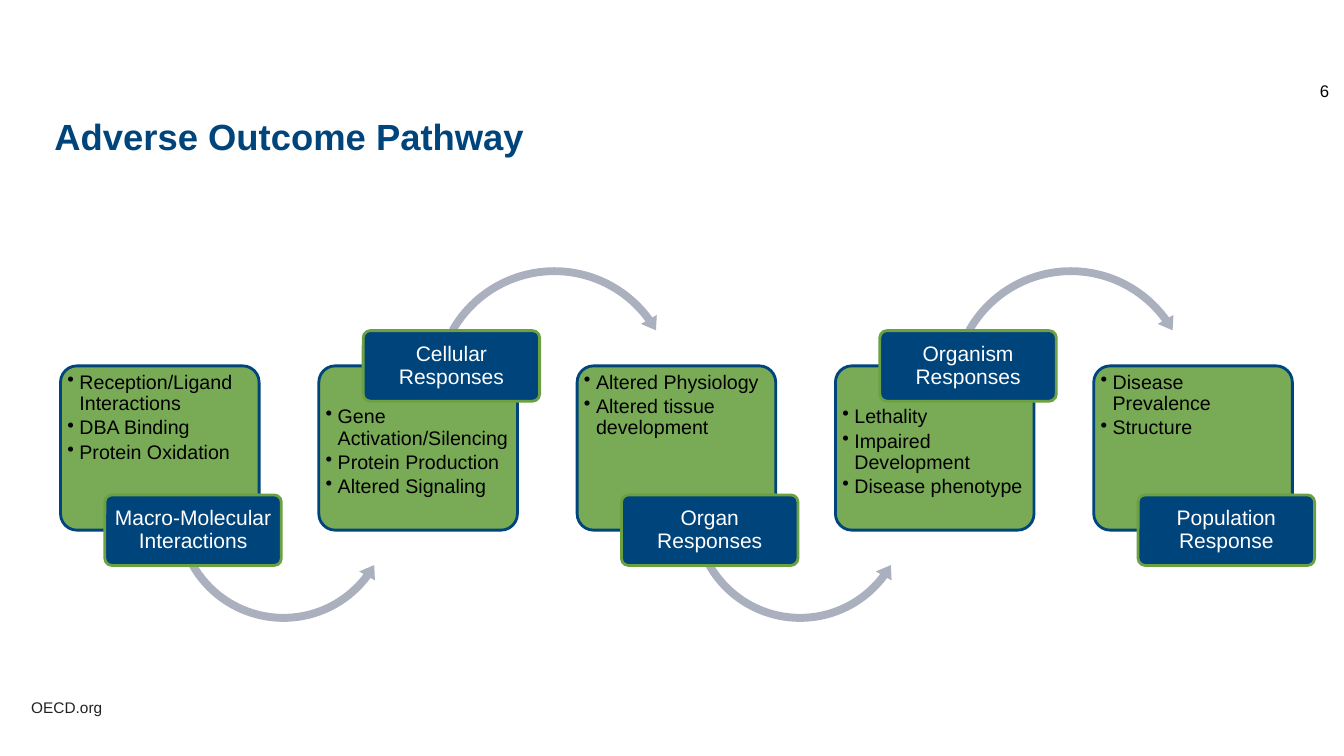
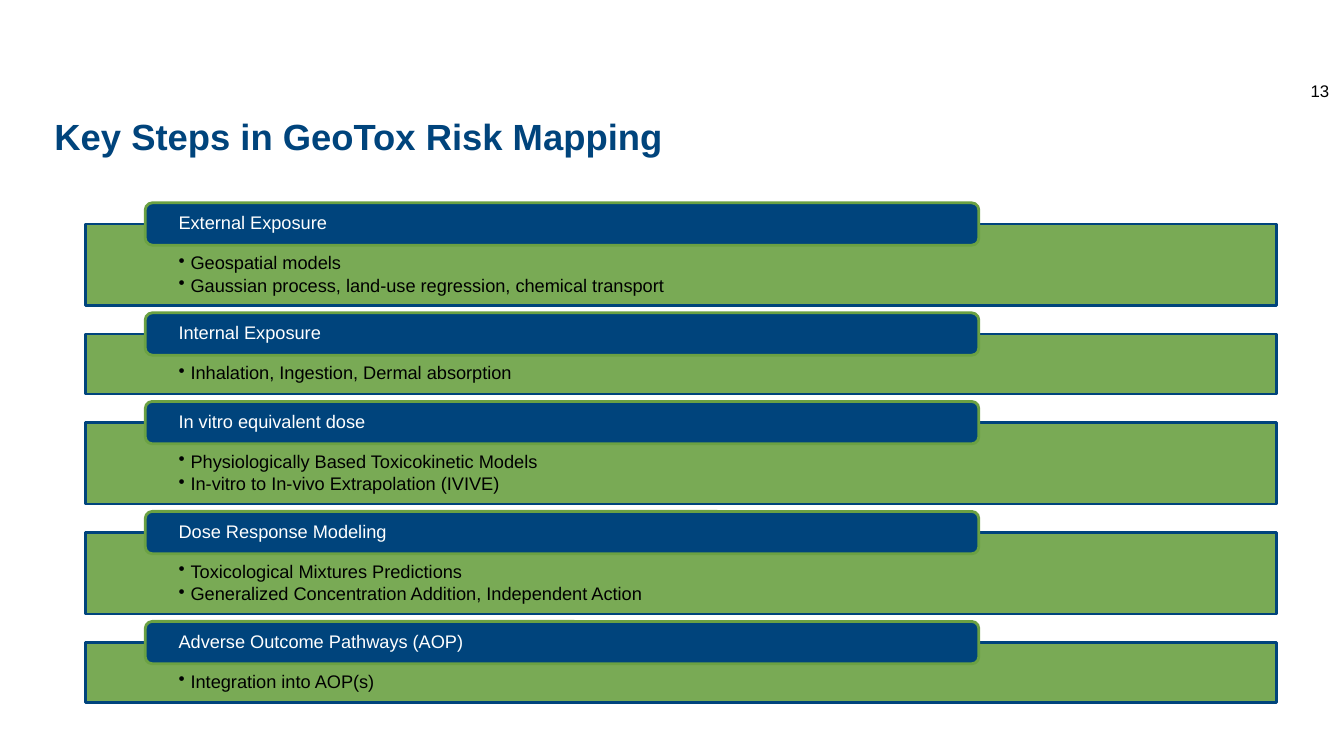
from dataclasses import dataclass

from lxml.etree import SubElement
from pptx import Presentation
from pptx.dml.color import RGBColor
from pptx.enum.shapes import MSO_SHAPE as Preset
from pptx.enum.text import MSO_ANCHOR as Anchor, MSO_AUTO_SIZE as AutoSize, PP_ALIGN as Align
from pptx.oxml.ns import qn
from pptx.util import Inches, Pt


@dataclass(frozen=True)
class Theme:
    width: int = Inches(13.333)
    height: int = Inches(7.5)
    font: str = "Arial"
    navy: str = "00447C"
    green: str = "6BA143"
    arrow: str = "ABB0BF"
    white: str = "FFFFFF"
    black: str = "000000"
    footer: str = "222222"
    title_size: int = 26
    tag_size: int = 15
    bullet_size: int = 14
    step_size: int = 13
    number_size: int = 12
    footer_size: int = 11
    outline: int = 2
    panel_opacity: int = 90
    line_spacing: float = 0.9
    bullet_gap: float = 0.15
    bullet_indent: float = 0.12


THEME = Theme()

PATHWAY = [
    ("Macro-Molecular Interactions",
     ["Reception/Ligand Interactions", "DBA Binding", "Protein Oxidation"]),
    ("Cellular Responses",
     ["Gene Activation/Silencing", "Protein Production", "Altered Signaling"]),
    ("Organ Responses", ["Altered Physiology", "Altered tissue development"]),
    ("Organism Responses", ["Lethality", "Impaired Development", "Disease phenotype"]),
    ("Population Response", ["Disease Prevalence", "Structure"]),
]

STEPS = [
    ("External Exposure",
     ["Geospatial models", "Gaussian process, land-use regression, chemical transport"]),
    ("Internal Exposure", ["Inhalation, Ingestion, Dermal absorption"]),
    ("In vitro equivalent dose",
     ["Physiologically Based Toxicokinetic Models", "In-vitro to In-vivo Extrapolation (IVIVE)"]),
    ("Dose Response Modeling",
     ["Toxicological Mixtures Predictions",
      "Generalized Concentration Addition, Independent Action"]),
    ("Adverse Outcome Pathways (AOP)", ["Integration into AOP(s)"]),
]


def area(left, top, width, height):
    return (round(THEME.width * left / 100), round(THEME.height * top / 100),
            round(THEME.width * width / 100), round(THEME.height * height / 100))


def colour(code):
    return RGBColor.from_string(code)


def set_frame(frame, insets=(0.1, 0.05, 0.1, 0.05), anchor=Anchor.TOP):
    frame.word_wrap = True
    frame.auto_size = AutoSize.NONE
    frame.vertical_anchor = anchor
    (frame.margin_left, frame.margin_top,
     frame.margin_right, frame.margin_bottom) = map(Inches, insets)


def style_text(frame, size, code, align=Align.LEFT, bold=False, spacing=1.0):
    for para in frame.paragraphs:
        para.alignment = align
        para.line_spacing = spacing
        for span in para.runs:
            span.font.name = THEME.font
            span.font.size = Pt(size)
            span.font.bold = bold
            span.font.color.rgb = colour(code)


def add_block(page, preset, place, fill, line=None, adjustments=()):
    block = page.shapes.add_shape(preset, *area(*place))
    block.shadow.inherit = False
    block.fill.solid()
    block.fill.fore_color.rgb = colour(fill)
    if line:
        block.line.color.rgb = colour(line)
        block.line.width = Pt(THEME.outline)
    else:
        block.line.fill.background()
    for index, value in enumerate(adjustments):
        block.adjustments[index] = value
    return block


def add_panel(page, preset, place, bullets, size, insets, adjustments=()):
    panel = add_block(page, preset, place, THEME.green, THEME.navy, adjustments)
    tint = panel.fill._xPr.find(qn("a:solidFill"))[0]
    SubElement(tint, qn("a:alpha")).set("val", str(THEME.panel_opacity * 1000))
    frame = panel.text_frame
    set_frame(frame, insets)
    frame.text = "\n".join(bullets)
    for para in frame.paragraphs:
        props = para._p.get_or_add_pPr()
        indent = Inches(THEME.bullet_indent)
        props.set("marL", str(indent))
        props.set("indent", str(-indent))
        SubElement(props, qn("a:buChar")).set("char", "•")
        para.space_after = Pt(round(size * THEME.bullet_gap, 1))
    style_text(frame, size, THEME.black, spacing=THEME.line_spacing)


def add_tag(page, place, label, size, insets, align, adjustments=()):
    tag = add_block(page, Preset.ROUNDED_RECTANGLE, place, THEME.navy, THEME.green, adjustments)
    set_frame(tag.text_frame, insets, Anchor.MIDDLE)
    tag.text_frame.text = label
    style_text(tag.text_frame, size, THEME.white, align, spacing=THEME.line_spacing)


def add_label(page, place, text, size, code, align=Align.LEFT):
    box = page.shapes.add_textbox(*area(*place))
    set_frame(box.text_frame)
    box.text_frame.text = text
    style_text(box.text_frame, size, code, align)


def add_page(deck, heading, number):
    page = deck.slides.add_slide(deck.slide_layouts[5])
    title = page.shapes.title
    title.left, title.top, title.width, title.height = area(3.3, 14.4, 93.45, 10.67)
    set_frame(title.text_frame)
    title.text_frame.text = heading
    style_text(title.text_frame, THEME.title_size, THEME.navy, bold=True)
    add_label(page, (96.75, 10, 2.9, 4), str(number), THEME.number_size, THEME.black, Align.RIGHT)
    return page


def add_arrow(page, left, upward):
    if upward:
        add_block(page, Preset.CIRCULAR_ARROW, (left, 34.67, 18.75, 33.33), THEME.arrow,
                  adjustments=(0.031, 3.818, 194.427, 125.755, 0.036))
    else:
        add_block(page, Preset.LEFT_CIRCULAR_ARROW, (left, 52.93, 16.88, 30), THEME.arrow,
                  adjustments=(0.035, 4.282, 22.037, 90.245, 0.04))


def add_pathway(page):
    first, pitch, top, width, height = 4.5, 19.22, 48.4, 14.78, 21.73
    tag_width, tag_height = 13.13, 9.33
    for column, (label, bullets) in enumerate(PATHWAY):
        left = first + column * pitch
        upward = column % 2 == 1
        edge = top if upward else top + height
        inset_top = 0.36 if upward else 0.02
        add_panel(page, Preset.ROUNDED_RECTANGLE, (left, top, width, height), bullets,
                  THEME.bullet_size, (0.02, inset_top, 0.02, 0.02), (0.1,))
        if column < len(PATHWAY) - 1:
            add_arrow(page, left + 8.15, upward)
        add_tag(page, (left + 3.3, edge - tag_height / 2, tag_width, tag_height), label,
                THEME.tag_size, (0.03, 0.02, 0.03, 0.02), Align.CENTER, (0.1,))


def add_steps(page):
    left, top, width, gap = 6.38, 29.63, 88.57, 3.77
    base, line_height, tag_height = 5.12, 2.83, 5.6
    for label, bullets in STEPS:
        height = base + line_height * len(bullets)
        add_panel(page, Preset.RECTANGLE, (left, top, width, height), bullets,
                  THEME.step_size, (0.92, 0.3, 0.92, 0.1))
        add_tag(page, (left + 4.43, top - tag_height / 2, 62.02, tag_height), label,
                THEME.step_size, (0.31, 0, 0.31, 0), Align.LEFT)
        top += height + gap


def main():
    deck = Presentation()
    deck.slide_width, deck.slide_height = THEME.width, THEME.height
    pathway_page = add_page(deck, "Adverse Outcome Pathway", 6)
    add_pathway(pathway_page)
    add_label(pathway_page, (1.58, 91.73, 50, 3.87), "OECD.org",
              THEME.footer_size, THEME.footer)
    add_steps(add_page(deck, "Key Steps in GeoTox Risk Mapping", 13))
    deck.save("out.pptx")


if __name__ == "__main__":
    main()
